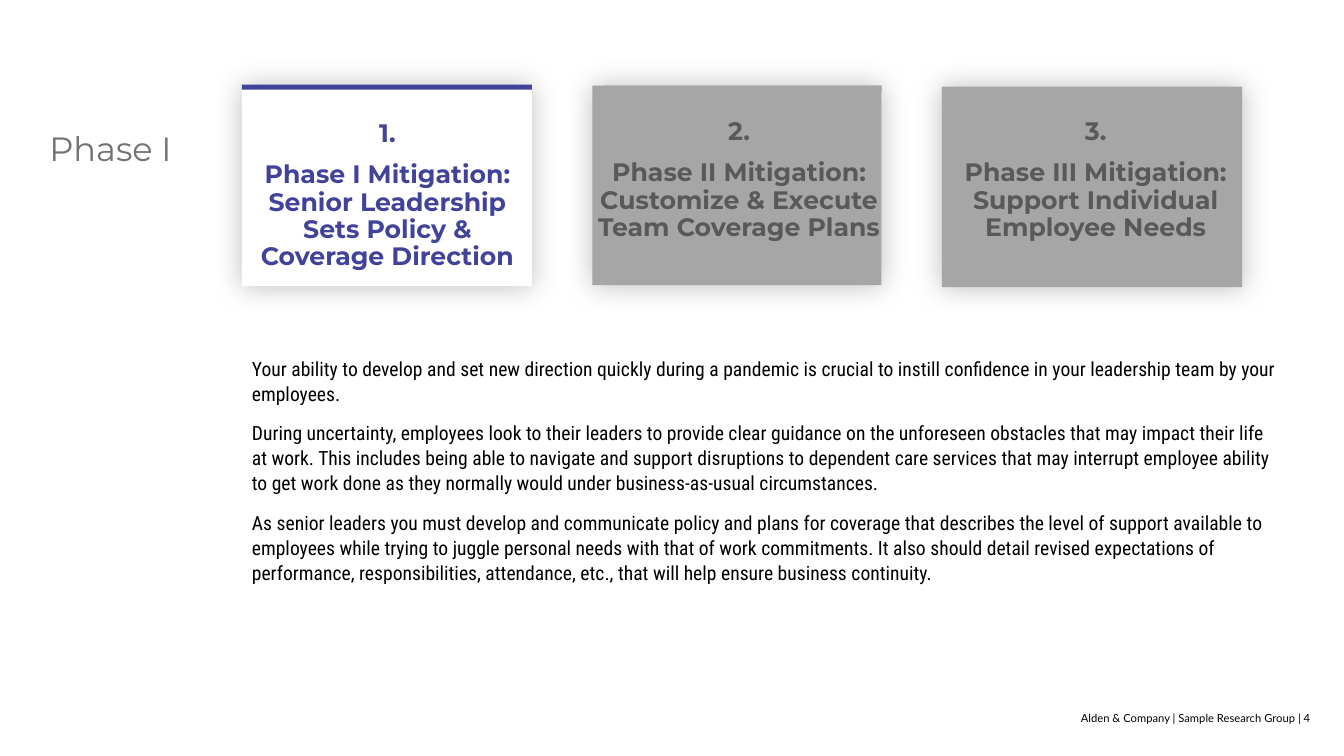
from dataclasses import dataclass
from pptx import Presentation
from pptx.dml.color import RGBColor
from pptx.enum.shapes import MSO_SHAPE
from pptx.enum.text import MSO_ANCHOR, MSO_AUTO_SIZE, PP_ALIGN
from pptx.oxml import parse_xml
from pptx.oxml.ns import nsdecls, qn
from pptx.util import Pt

SCALE = 9144


@dataclass(frozen=True)
class Theme:
    head: str = "Montserrat"
    text: str = "Roboto Condensed"
    foot: str = "Lato"
    black: str = "000000"
    slate: str = "717272"
    white: str = "FFFFFF"
    blue: str = "41439A"
    gray: str = "A6A6A6"
    dim: str = "595959"
    title_size: int = 24
    card_size: int = 18
    text_size: int = 14
    foot_size: int = 8


THEME = Theme()

CARDS = [
    ((240, 85, 288, 199), (240, 84, 288, 5), (220, 115), THEME.white, THEME.blue, THEME.blue,
     "Phase I Mitigation: Senior Leadership Sets Policy & Coverage Direction"),
    ((588, 85, 287, 198), (600, 85, 275, 6), (569, 113), THEME.gray, THEME.gray, THEME.dim,
     "Phase II Mitigation: Customize & Execute Team Coverage Plans"),
    ((935, 86, 298, 199), (935, 87, 275, 6), (923, 113), THEME.gray, THEME.gray, THEME.dim,
     "Phase III Mitigation: Support Individual Employee Needs"),
]

BODY = [
    "Your ability to develop and set new direction quickly during a pandemic is crucial to "
    "instill confidence in your leadership team by your employees.",
    "During uncertainty, employees look to their leaders to provide clear guidance on the "
    "unforeseen obstacles that may impact their life at work. This includes being able to "
    "navigate and support disruptions to dependent care services that may interrupt employee "
    "ability to get work done as they normally would under business-as-usual circumstances.",
    "As senior leaders you must develop and communicate policy and plans for coverage that "
    "describes the level of support available to employees while trying to juggle personal "
    "needs with that of work commitments. It also should detail revised expectations of "
    "performance, responsibilities, attendance, etc., that will help ensure business continuity.",
]


def px(*vals):
    return [v * SCALE for v in vals]


def place(shape, box):
    shape.left, shape.top, shape.width, shape.height = px(*box)


def write(shape, lines, font, size, color, align=PP_ALIGN.LEFT, space=0.9,
          inset=(10, 5), bold=False):
    frame = shape.text_frame
    frame.word_wrap = True
    frame.auto_size = MSO_AUTO_SIZE.NONE
    frame.vertical_anchor = MSO_ANCHOR.TOP
    side, edge = px(*inset)
    frame.margin_left = frame.margin_right = side
    frame.margin_top = frame.margin_bottom = edge
    frame.text = "\n".join(lines)
    for i, para in enumerate(frame.paragraphs):
        para.alignment = align
        para.line_spacing = space
        para.space_before = Pt(10 if i else 0)
        para.font.name = font
        para.font.size = Pt(size)
        para.font.bold = bold
        para.font.color.rgb = RGBColor.from_string(color)


def add_rect(slide, box, fill):
    rect = slide.shapes.add_shape(MSO_SHAPE.RECTANGLE, *px(*box))
    rect.shadow.inherit = False
    rect.fill.solid()
    rect.fill.fore_color.rgb = RGBColor.from_string(fill)
    rect.line.fill.background()
    return rect


def add_glow(shape):
    shape._element.spPr.find(qn("a:effectLst")).append(parse_xml(
        f'<a:outerShdw {nsdecls("a")} blurRad="{Pt(20)}" dist="0" dir="0" algn="ctr" '
        f'rotWithShape="0"><a:srgbClr val="{THEME.black}"><a:alpha val="25000"/>'
        '</a:srgbClr></a:outerShdw>'))


def add_card(slide, num, box, strip, spot, fill, band, ink, label):
    add_glow(add_rect(slide, box, fill))
    add_rect(slide, strip, band)
    text = slide.shapes.add_textbox(*px(*spot, 329, 41))
    write(text, [f"{num}.", label], THEME.head, THEME.card_size, ink,
          PP_ALIGN.CENTER, inset=(20, 5), bold=True)


def fill_title(slide):
    title = slide.shapes.title
    place(title, (39, 126, 1212, 124))
    write(title, ["Phase I"], THEME.head, THEME.title_size, THEME.slate)


def fill_body(slide):
    body = slide.placeholders[1]
    place(body, (240, 347, 1039, 239))
    body.text_frame.text = "\n".join(BODY)
    write(body, BODY, THEME.text, THEME.text_size, THEME.black, space=Pt(18))
    for para in body.text_frame.paragraphs:
        props = para._p.get_or_add_pPr()
        props.set("marL", "0")
        props.set("indent", "0")
        props.insert_element_before(parse_xml(f'<a:buNone {nsdecls("a")}/>'),
                                    "a:tabLst", "a:defRPr", "a:extLst")


def add_foot(slide):
    foot = slide.shapes.add_textbox(*px(1005, 704, 296, 20))
    write(foot, ["Alden & Company | Sample Research Group | 4"], THEME.foot,
          THEME.foot_size, THEME.black, PP_ALIGN.RIGHT, 1.1, (0, 0))


def main():
    deck = Presentation()
    deck.slide_width, deck.slide_height = px(1334, 750)
    slide = deck.slides.add_slide(deck.slide_layouts[1])
    fill_title(slide)
    for num, card in enumerate(CARDS, 1):
        add_card(slide, num, *card)
    fill_body(slide)
    add_foot(slide)
    deck.save("out.pptx")


if __name__ == "__main__":
    main()
